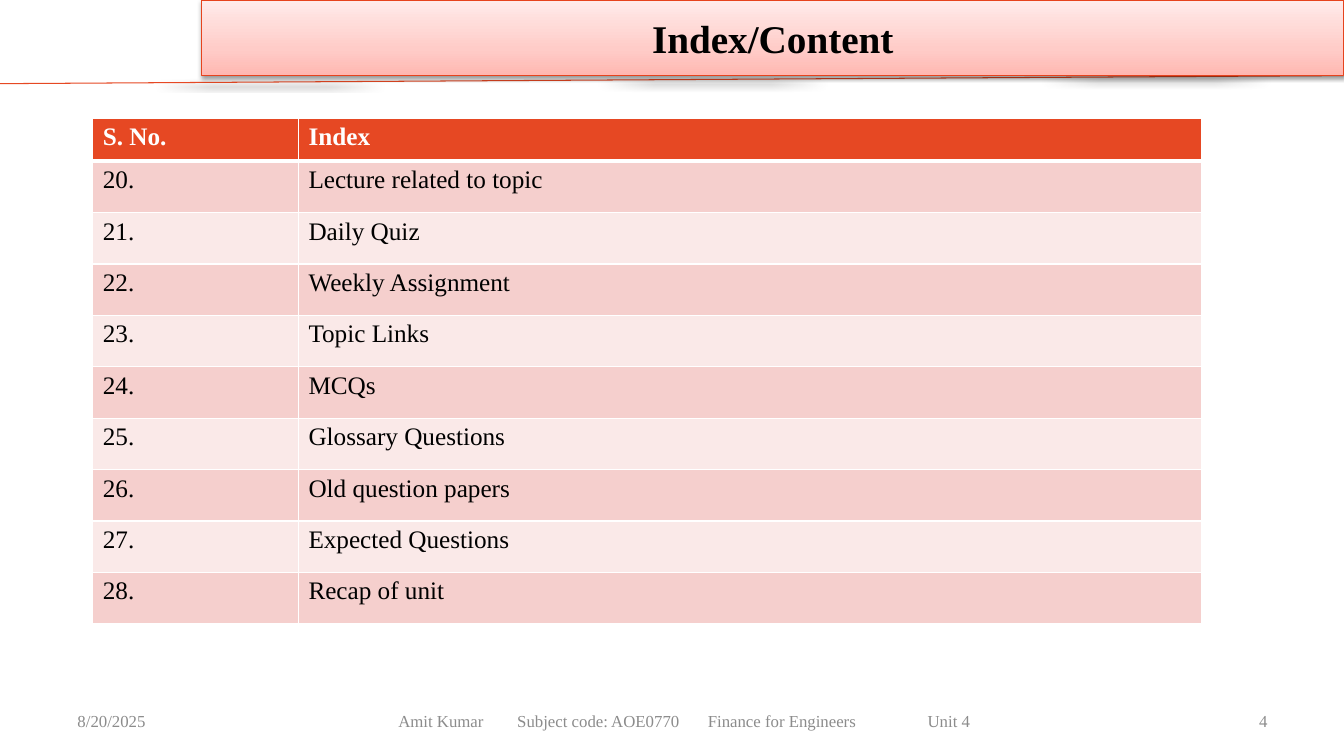
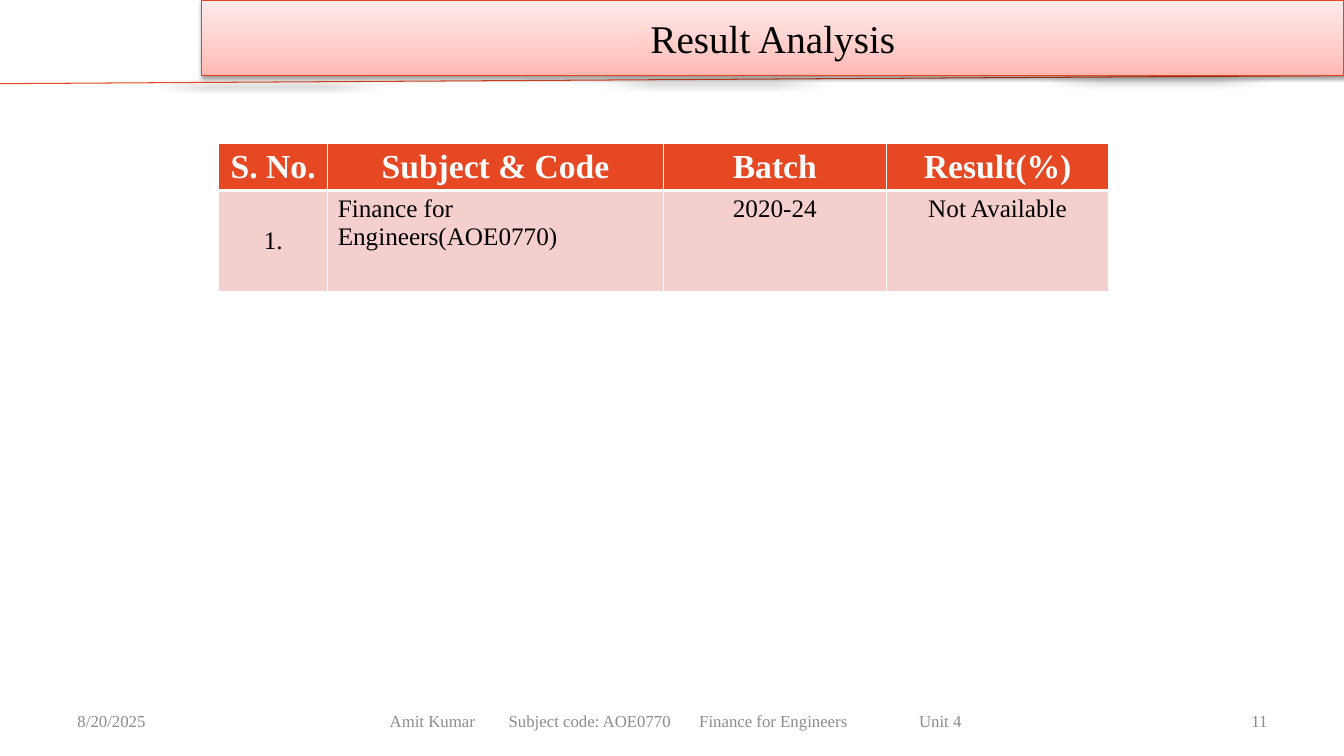
"""Build the index and result analysis slides of a lecture deck."""
import copy

from lxml import etree
from pptx import Presentation
from pptx import util as u
from pptx.dml.color import RGBColor
from pptx.enum import shapes, text
from pptx.oxml import ns

FONT = "Times New Roman"
ORANGE, WHITE, BLACK, GREY = "E64823", "FFFFFF", "000000", "8C8C8C"
BANDS = ["FAE9E8", "F5CFCD"]
BANNER_STOPS = [(0, "FFB7B1"), (0.35, "FFCCC8"), (1, "FFEBEA")]
FOOTER = ["Amit Kumar", "Subject code: AOE0770", "Finance for Engineers", "Unit 4"]
FOOTER_TABS = [1.18, 3.07, 5.25]
FOOTER_WIDTH = 5.68
LEFT, CENTER, RIGHT = text.PP_ALIGN.LEFT, text.PP_ALIGN.CENTER, text.PP_ALIGN.RIGHT
rgb = RGBColor.from_string

topics = ["Lecture related to topic", "Daily Quiz", "Weekly Assignment", "Topic Links", "MCQs",
          "Glossary Questions", "Old question papers", "Expected Questions", "Recap of unit"]
slides = [
    dict(title="Index/Content", bold=True, number="4", footer=(3.33, 6.92),
         at=(0.92, 1.17), cols=[2.04, 8.96], heights=(0.43, 0.51),
         head_size=18, head_align=LEFT, aligns=[LEFT, LEFT],
         rows=[["S. No.", "Index"]] + [[f"{n}.", topic] for n, topic in enumerate(topics, 20)]),
    dict(title="Result Analysis", bold=False, number="11", footer=(2.83, 7.75),
         at=(2.17, 1.42), cols=[1.08, 3.33, 2.21, 2.21], heights=(0.41, 1),
         head_size=24, head_align=CENTER, aligns=[CENTER, LEFT, CENTER, CENTER],
         rows=[["S. No.", "Subject & Code", "Batch", "Result(%)"],
               ["1.", "Finance for Engineers(AOE0770)", "2020-24", "Not Available"]]),
]


def add_text(tf, words, size, color, align=LEFT, bold=False):
    p = tf.paragraphs[0]
    p.alignment = align
    r = p.add_run()
    r.text = words
    r.font.name, r.font.size, r.font.bold = FONT, u.Pt(size), bold
    r.font.color.rgb = rgb(color)


def add_shadow(sp, alpha, blur, dist, angle):
    effects = etree.SubElement(sp._element.spPr, ns.qn("a:effectLst"))
    shadow = etree.SubElement(effects, ns.qn("a:outerShdw"), blurRad=str(u.Pt(blur)),
                              dist=str(u.Pt(dist)), dir=str(angle * 60000), rotWithShape="0")
    color = etree.SubElement(shadow, ns.qn("a:srgbClr"), val=BLACK)
    etree.SubElement(color, ns.qn("a:alpha"), val=str(alpha * 1000))


prs = Presentation()
prs.slide_width, prs.slide_height = u.Inches(13.33), u.Inches(7.5)

for page in slides:
    s = prs.slides.add_slide(prs.slide_layouts[6])

    rule = s.shapes.add_connector(shapes.MSO_CONNECTOR.STRAIGHT, 0, u.Inches(0.83),
                                  u.Inches(13.33), u.Inches(0.75))
    rule.line.color.rgb = rgb(ORANGE)
    rule.line.width = u.Pt(0.75)
    add_shadow(rule, 40, 4, 3, 45)

    banner = s.shapes.add_shape(shapes.MSO_SHAPE.RECTANGLE, u.Inches(2), 0,
                                u.Inches(11.33), u.Inches(0.75))
    banner.fill.gradient()
    banner.fill.gradient_angle = 90
    stops = banner._element.spPr.find(".//" + ns.qn("a:gsLst"))
    stops.append(copy.deepcopy(stops[0]))
    for stop, (position, color) in zip(banner.fill.gradient_stops, BANNER_STOPS):
        stop.position = position
        stop.color.rgb = rgb(color)
    banner.line.color.rgb = rgb("E6431D")
    banner.line.width = u.Pt(0.75)
    add_shadow(banner, 38, 3.1, 1.6, 90)
    banner.text_frame.vertical_anchor = text.MSO_ANCHOR.MIDDLE
    add_text(banner.text_frame, page["title"], 28, BLACK, CENTER, page["bold"])

    rows, cols = page["rows"], page["cols"]
    head_height, row_height = page["heights"]
    left, top = page["at"]
    height = head_height + row_height * (len(rows) - 1)
    table = s.shapes.add_table(len(rows), len(cols), u.Inches(left), u.Inches(top),
                               u.Inches(sum(cols)), u.Inches(height)).table
    for column, width in zip(table.columns, cols):
        column.width = u.Inches(width)
    for i, row in enumerate(rows):
        head = i == 0
        table.rows[i].height = u.Inches(head_height if head else row_height)
        for j, words in enumerate(row):
            cell = table.cell(i, j)
            cell.fill.solid()
            cell.fill.fore_color.rgb = rgb(ORANGE if head else BANDS[i % 2])
            if head:
                add_text(cell.text_frame, words, page["head_size"], WHITE, page["head_align"], True)
            else:
                add_text(cell.text_frame, words, 18, BLACK, page["aligns"][j])
            borders = {"lnL": 1, "lnR": 1, "lnT": 3 if i == 1 else 1, "lnB": 3 if head else 1}
            tcPr = cell._tc.get_or_add_tcPr()
            for k, (side, weight) in enumerate(borders.items()):
                ln = etree.Element(ns.qn("a:" + side), w=str(u.Pt(weight)))
                fill = etree.SubElement(ln, ns.qn("a:solidFill"))
                etree.SubElement(fill, ns.qn("a:srgbClr"), val=WHITE)
                tcPr.insert(k, ln)
    if len(cols) == 4:
        table.cell(1, 0).vertical_anchor = text.MSO_ANCHOR.MIDDLE

    footer_left, footer_width = page["footer"]
    for x, width, words, align in [(0.67, 3.11, "8/20/2025", LEFT),
                                   (footer_left, footer_width, "\t".join(FOOTER), LEFT),
                                   (9.56, 3.11, page["number"], RIGHT)]:
        sp = s.shapes.add_textbox(u.Inches(x), u.Inches(6.95), u.Inches(width), u.Inches(0.4))
        tf = sp.text_frame
        tf.word_wrap = True
        tf.vertical_anchor = text.MSO_ANCHOR.MIDDLE
        if "\t" in words:
            tf.margin_left = u.Inches((width - FOOTER_WIDTH) / 2)
            tabs = etree.SubElement(tf.paragraphs[0]._p.get_or_add_pPr(), ns.qn("a:tabLst"))
            for position in FOOTER_TABS:
                etree.SubElement(tabs, ns.qn("a:tab"), pos=str(u.Inches(position)), algn="l")
        add_text(tf, words, 12, GREY, align)

prs.save("out.pptx")
